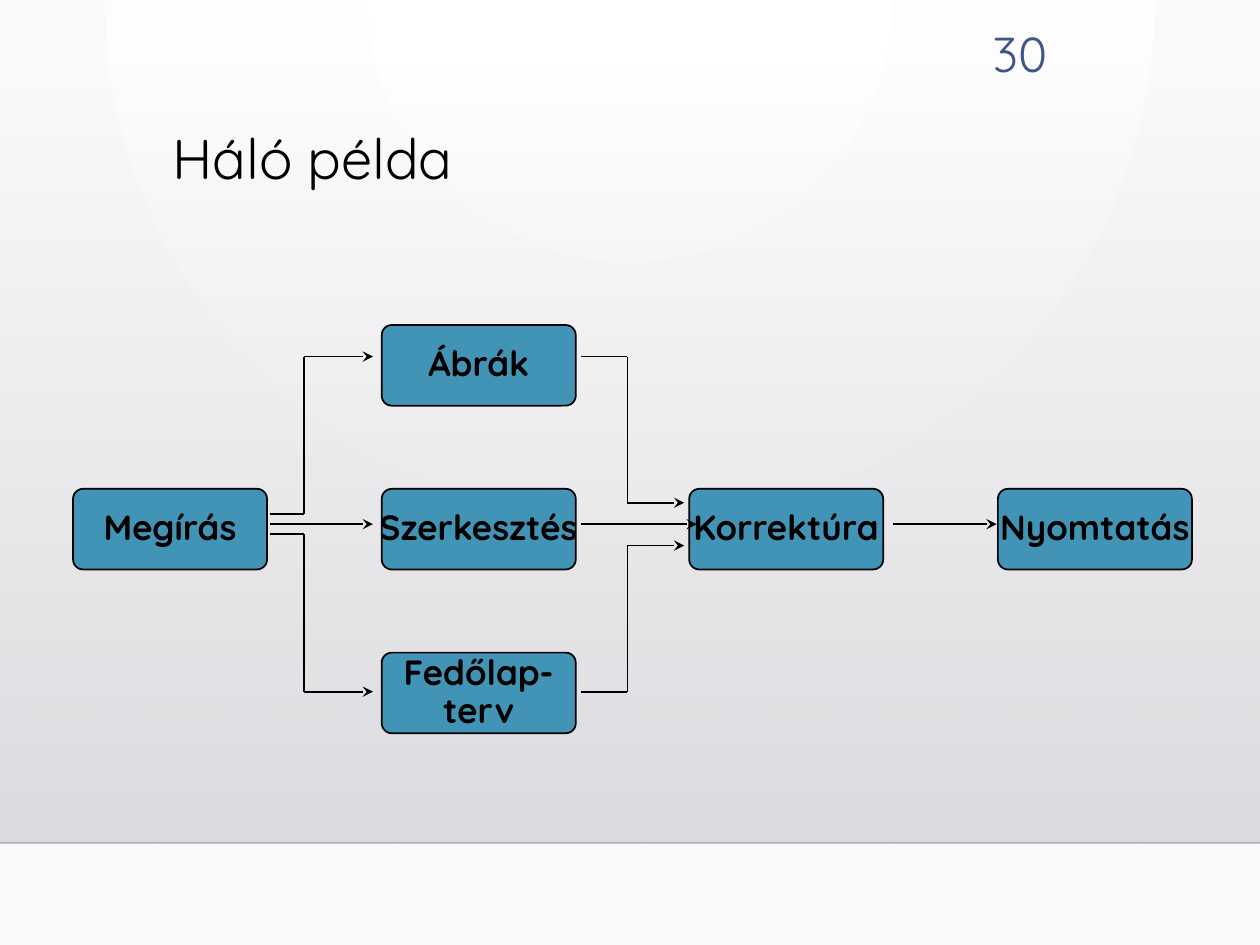
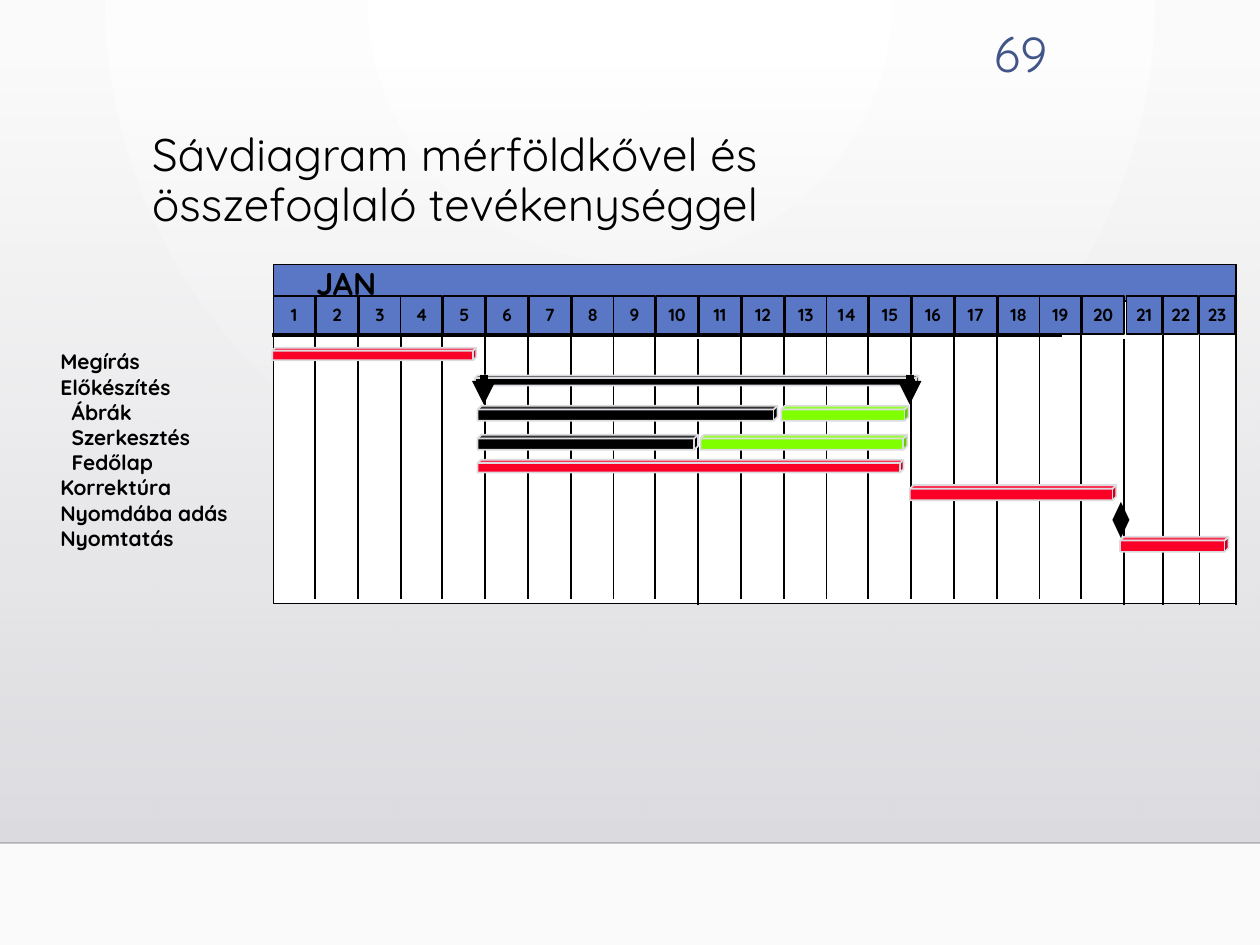
from itertools import pairwise
from typing import NamedTuple

from lxml import etree
from pptx import Presentation
from pptx.dml.color import RGBColor
from pptx.enum.shapes import MSO_CONNECTOR, MSO_SHAPE
from pptx.enum.text import MSO_ANCHOR, PP_ALIGN
from pptx.oxml import parse_xml
from pptx.oxml.ns import nsdecls, qn
from pptx.util import Emu, Pt

STRAIGHT = MSO_CONNECTOR.STRAIGHT
RECT, ROUNDED, CUBE = MSO_SHAPE.RECTANGLE, MSO_SHAPE.ROUNDED_RECTANGLE, MSO_SHAPE.CUBE
LEFT, CENTER, RIGHT = PP_ALIGN.LEFT, PP_ALIGN.CENTER, PP_ALIGN.RIGHT
TOP, MIDDLE = MSO_ANCHOR.TOP, MSO_ANCHOR.MIDDLE
EMU_PER_PX = 9144
FONT = "Quicksand"
COLORS = {
    "black": "000000", "white": "FFFFFF", "paper": "FAFAFA", "rule": "000001",
    "panel_top": "DCDCE0", "panel_bottom": "DEDEE2", "number": "415588",
    "task": "4294B6", "header": "5977C4", "critical": "FC0128", "slack": "7FFF00",
}


class Box(NamedTuple):
    left: int
    top: int
    width: int
    height: int


class Task(NamedTuple):
    text: str
    col: int
    row: int


class Bar(NamedTuple):
    box: Box
    color: str


class Label(NamedTuple):
    text: str
    indent: int = 0


TASKS = [
    Task("Szerkesztés", 1, 1), Task("Megírás", 0, 1), Task("Ábrák", 1, 0),
    Task("Korrektúra", 2, 1), Task("Nyomtatás", 3, 1), Task("Fedőlap-\nterv", 1, 2),
]
ROUTES = [
    [(214, 416), (296, 416)],
    [(461, 416), (553, 416)],
    [(709, 416), (791, 416)],
    [(214, 408), (241, 408), (241, 283), (296, 283)],
    [(214, 424), (241, 424), (241, 549), (296, 549)],
    [(461, 283), (498, 283), (498, 399), (543, 399)],
    [(461, 549), (498, 549), (498, 433), (543, 433)],
]
BARS = [
    Bar(Box(216, 276, 162, 10), "critical"),
    Bar(Box(379, 322, 238, 12), "black"),
    Bar(Box(379, 345, 175, 12), "black"),
    Bar(Box(379, 365, 338, 10), "critical"),
    Bar(Box(722, 385, 164, 12), "critical"),
    Bar(Box(889, 426, 86, 12), "critical"),
    Bar(Box(620, 322, 101, 12), "slack"),
    Bar(Box(556, 345, 164, 12), "slack"),
    Bar(Box(377, 298, 352, 8), "black"),
]
LABELS = [
    Label("Megírás"), Label("Előkészítés"), Label("Ábrák", 9), Label("Szerkesztés", 9),
    Label("Fedőlap", 9), Label("Korrektúra"), Label("Nyomdába adás"), Label("Nyomtatás"),
]


def px(value: float) -> Emu:
    return Emu(round(value) * EMU_PER_PX)


def rgb(name: str) -> RGBColor:
    return RGBColor.from_string(COLORS[name])


def set_gradient(element, start: str, end: str, direction: str, start_alpha: int = 100) -> None:
    new = parse_xml(
        f'<a:gradFill {nsdecls("a")} rotWithShape="1"><a:gsLst>'
        f'<a:gs pos="0"><a:srgbClr val="{COLORS[start]}">'
        f'<a:alpha val="{start_alpha * 1000}"/></a:srgbClr></a:gs>'
        f'<a:gs pos="100000"><a:srgbClr val="{COLORS[end]}"/></a:gs>'
        f'</a:gsLst>{direction}</a:gradFill>'
    )
    old = next(element.iter(qn("a:gradFill")))
    old.getparent().replace(old, new)


def write(sp, text: str, *, size: float, color: str = "black", bold: bool = False,
          align=LEFT, anchor=TOP, spacing: float = 1.0, wrap: bool = True) -> None:
    tf = sp.text_frame
    tf.word_wrap = wrap
    tf.vertical_anchor = anchor
    tf.text = text
    for p in tf.paragraphs:
        p.alignment = align
        p.line_spacing = spacing
        for r in p.runs:
            r.font.name = FONT
            r.font.size = Pt(size)
            r.font.bold = bold
            r.font.color.rgb = rgb(color)


def add_text(s, box: Box, text: str, **fmt):
    sp = s.shapes.add_textbox(*map(px, box))
    write(sp, text, **fmt)
    return sp


def add_block(s, kind, box: Box, fill: str, line: str = "black"):
    sp = s.shapes.add_shape(kind, *map(px, box))
    sp.shadow.inherit = False
    sp.fill.solid()
    sp.fill.fore_color.rgb = rgb(fill)
    sp.line.color.rgb = rgb(line)
    sp.line.width = Pt(1)
    return sp


def add_line(s, start: tuple, end: tuple, *, width: float = 1, color: str = "black",
             head: str = ""):
    cx = s.shapes.add_connector(STRAIGHT, *map(px, (*start, *end)))
    cx.line.color.rgb = rgb(color)
    cx.line.width = Pt(width)
    if head:
        etree.SubElement(cx.line._get_or_add_ln(), qn("a:tailEnd"), type=head)
    etree.SubElement(cx._element.spPr, qn("a:effectLst"))
    return cx


def add_base_slide(prs, number: str, title: str, title_box: Box, title_size: float):
    s = prs.slides.add_slide(prs.slide_layouts[6])
    panel = add_block(s, RECT, Box(0, 51, 1000, 618), "panel_bottom")
    panel.line.fill.background()
    panel.fill.gradient()
    set_gradient(panel._element, "panel_top", "panel_bottom",
                 '<a:lin ang="5400000" scaled="0"/>', start_alpha=0)
    rule = add_line(s, (0, 669), (1000, 669), color="rule")
    rule_color = next(rule._element.iter(qn("a:srgbClr")))
    etree.SubElement(rule_color, qn("a:alpha"), val="20000")
    add_text(s, Box(754, 14, 87, 55), number, size=28, color="number", align=RIGHT)
    add_text(s, title_box, title, size=title_size, spacing=0.9)
    return s


def build_network(prs) -> None:
    s = add_base_slide(prs, "30", "Háló példa", Box(127, 99, 842, 92), 32)
    for task in TASKS:
        box = Box(58 + round(task.col * 244.7), 258 + task.row * 130, 154, 64)
        sp = add_block(s, ROUNDED, box, "task")
        sp.adjustments[0] = 0.125
        write(sp, task.text, size=20, bold=True, align=CENTER, anchor=MIDDLE,
              spacing=0.9, wrap=False)
    for route in ROUTES:
        for start, end in pairwise(route):
            add_line(s, start, end, head="stealth" if end == route[-1] else "")


def add_calendar(s) -> None:
    add_block(s, RECT, Box(217, 210, 764, 269), "white")
    add_block(s, RECT, Box(217, 210, 764, 29), "header")
    add_text(s, Box(241, 218, 71, 13), "JAN", size=18, bold=True, anchor=MIDDLE, wrap=False)
    add_line(s, (216, 266), (843, 266), width=2)
    for i in range(23):
        if i < 20:
            left, width, x = 217 + i * 33.8, 33, 250 + i * 33.8
            top, bottom = (269, 480) if i % 10 == 9 else (265, 475)
        else:
            left, width, x = 894 + (i - 20) * 29, 28, 923 + (i - 20) * 29
            top, bottom = 266, 480
        day = add_block(s, RECT, Box(round(left), 235, width, 30), "header")
        write(day, str(i + 1), size=10, bold=True, align=CENTER, anchor=MIDDLE, wrap=False)
        add_line(s, (x, top), (x, bottom))


def build_gantt(prs) -> None:
    title = "Sávdiagram mérföldkővel és\nösszefoglaló tevékenységgel"
    s = add_base_slide(prs, "69", title, Box(111, 100, 842, 92), 26.1)
    add_calendar(s)
    for bar in BARS:
        add_block(s, CUBE, bar.box, bar.color, "panel_top")
    names = add_text(s, Box(38, 272, 165, 170), "\n".join(label.text for label in LABELS),
                     size=12, bold=True)
    for p, label in zip(names.text_frame.paragraphs, LABELS):
        p._p.get_or_add_pPr().set("marL", str(px(label.indent)))
    for x in (384, 722):
        add_line(s, (x, 298), (x, 321), width=4.5, head="triangle")
    add_text(s, Box(873, 388, 41, 43), "⧫", size=20)


def main() -> None:
    prs = Presentation()
    prs.slide_width, prs.slide_height = px(1000), px(750)
    master = prs.slide_master
    master.background.fill.gradient()
    set_gradient(master.element, "white", "paper",
                 '<a:path path="circle">'
                 '<a:fillToRect l="43000" t="0" r="43000" b="100000"/></a:path>')
    build_network(prs)
    build_gantt(prs)
    prs.save("out.pptx")


if __name__ == "__main__":
    main()
